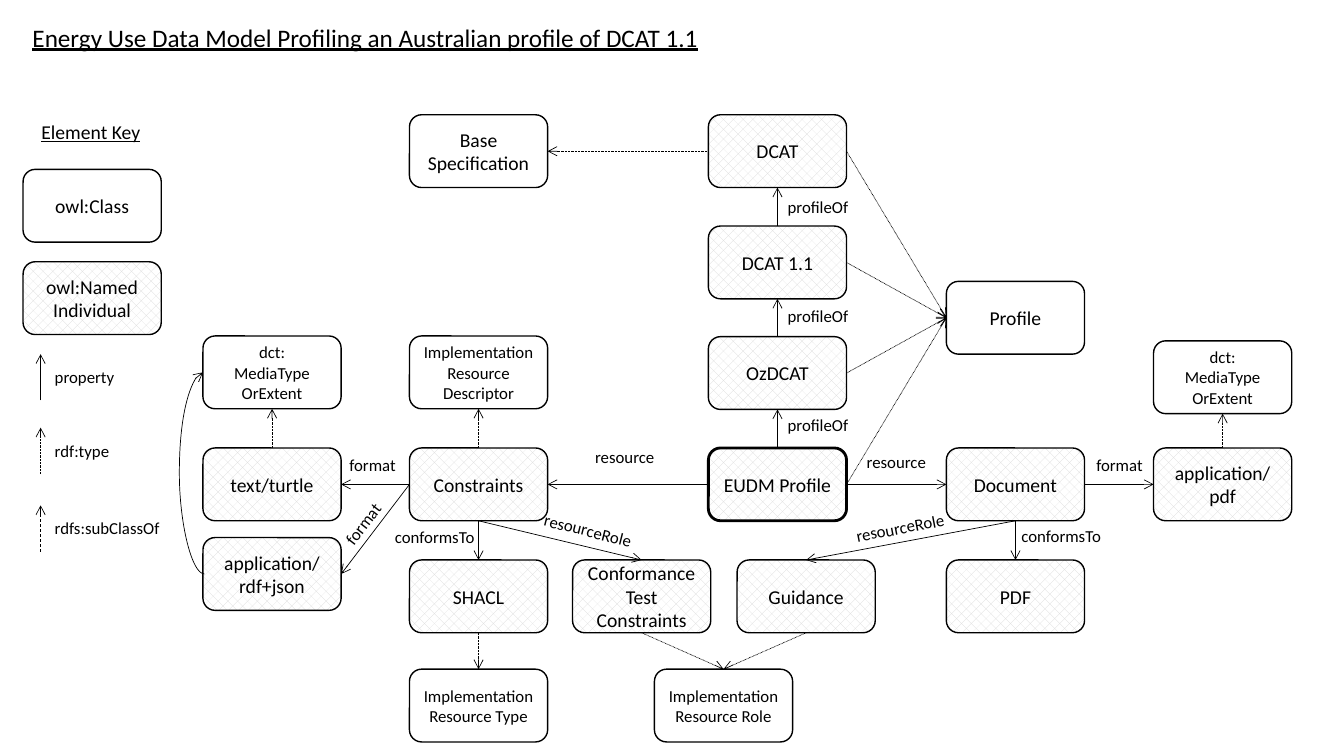
from lxml import etree
from pptx import Presentation
from pptx.dml.color import RGBColor
from pptx.enum.dml import MSO_LINE, MSO_PATTERN
from pptx.enum.shapes import MSO_CONNECTOR, MSO_SHAPE
from pptx.enum.text import MSO_ANCHOR, MSO_AUTO_SIZE, PP_ALIGN
from pptx.oxml.ns import qn
from pptx.util import Pt

ROUND_RECT = MSO_SHAPE.ROUNDED_RECTANGLE
STRAIGHT, CURVE = MSO_CONNECTOR.STRAIGHT, MSO_CONNECTOR.CURVE
SOLID, DOT, DASH = None, MSO_LINE.ROUND_DOT, MSO_LINE.DASH
TOP, LEFT, BOTTOM, RIGHT = range(4)  # connection sites of a box
COLORS = {"ink": "000000", "hatch": "D9D9D9", "paper": "FFFFFF"}
RGB = {name: RGBColor.from_string(value) for name, value in COLORS.items()}
BOX_W, BOX_H = 98.7, 52

prs = Presentation()
prs.slide_width, prs.slide_height = Pt(960), Pt(540)
s = prs.slides.add_slide(prs.slide_layouts[5])


def set_text(sp, text, size, align=PP_ALIGN.LEFT, underline=None):
    tf = sp.text_frame
    tf.text = text
    p = tf.paragraphs[0]
    p.alignment = align
    p.font.name, p.font.size = "Calibri", Pt(size)
    p.font.color.rgb = RGB["ink"]
    p.font.underline = underline


def add_arrow(kind, x1, y1, x2, y2, dash=SOLID):
    c = s.shapes.add_connector(kind, Pt(x1), Pt(y1), Pt(x2), Pt(y2))
    c.line.color.rgb = RGB["ink"]
    c.line.width = Pt(0.5)
    if dash is not None:
        c.line.dash_style = dash
    etree.SubElement(c.line._get_or_add_ln(), qn("a:tailEnd"), type="arrow")
    etree.SubElement(c._element.spPr, qn("a:effectLst"))
    return c


# Title
title = s.shapes.title
title.left, title.top, title.width, title.height = Pt(16), Pt(12), Pt(495), Pt(29)
set_text(title, "Energy Use Data Model Profiling an Australian profile of DCAT 1.1",
         18, underline=True)
tf = title.text_frame
tf.word_wrap = False
tf.auto_size = MSO_AUTO_SIZE.NONE
tf.vertical_anchor = MSO_ANCHOR.TOP

# Boxes: name, text, left, top, text size, hatched (named individual) or plain (class)
boxes = {}
for name, text, x, y, size, hatched in [
    ("key class", "owl:Class", 16.5, 121, 14, False),
    ("key individual", "owl:Named\vIndividual", 16.5, 187, 14, True),
    ("base", "Base Specification", 292.5, 82, 14, False),
    ("dcat", "DCAT", 506, 82, 14, True),
    ("dcat 1.1", "DCAT 1.1", 506, 161.5, 14, True),
    ("ozdcat", "OzDCAT", 506, 240.5, 14, True),
    ("eudm", "EUDM Profile", 506, 320, 14, True),
    ("profile", "Profile", 676, 201, 14, False),
    ("media left", "dct:\vMediaType\vOrExtent", 145, 240, 12, False),
    ("descriptor", "Implementation Resource Descriptor", 292.5, 240, 12, False),
    ("media right", "dct:\vMediaType\vOrExtent", 824, 243.5, 12, False),
    ("turtle", "text/turtle", 145, 320, 14, True),
    ("constraints", "Constraints", 292.5, 320, 14, True),
    ("document", "Document", 676, 320, 14, True),
    ("app pdf", "application/ pdf", 824, 320, 14, True),
    ("rdf json", "application/ rdf+json", 145, 384, 14, True),
    ("shacl", "SHACL", 292.5, 400, 14, True),
    ("conformance", "Conformance Test Constraints", 409, 400, 14, True),
    ("guidance", "Guidance", 526.5, 400, 14, True),
    ("pdf", "PDF", 676, 400, 14, True),
    ("type", "Implementation Resource Type", 292.5, 478, 12, False),
    ("role", "Implementation Resource Role", 467.5, 478, 12, False),
]:
    sp = s.shapes.add_shape(ROUND_RECT, Pt(x), Pt(y), Pt(BOX_W), Pt(BOX_H))
    sp.shadow.inherit = False
    if hatched:
        sp.fill.patterned()
        sp.fill.pattern = MSO_PATTERN.PERCENT_30
        sp.fill.fore_color.rgb = RGB["hatch"]
        sp.fill.back_color.rgb = RGB["paper"]
    else:
        sp.fill.background()
    sp.line.color.rgb = RGB["ink"]
    sp.line.width = Pt(2 if name == "eudm" else 1)
    sp.text_frame.vertical_anchor = MSO_ANCHOR.MIDDLE
    set_text(sp, text, size, PP_ALIGN.CENTER)
    boxes[name] = sp

# Arrows between boxes, attached to their connection sites
for start, site1, end, site2, dash in [
    ("dcat", LEFT, "base", RIGHT, DOT),
    ("dcat 1.1", TOP, "dcat", BOTTOM, SOLID),
    ("ozdcat", TOP, "dcat 1.1", BOTTOM, SOLID),
    ("eudm", TOP, "ozdcat", BOTTOM, SOLID),
    ("dcat", RIGHT, "profile", LEFT, DOT),
    ("dcat 1.1", RIGHT, "profile", LEFT, DOT),
    ("ozdcat", RIGHT, "profile", LEFT, DOT),
    ("eudm", RIGHT, "profile", LEFT, DOT),
    ("eudm", LEFT, "constraints", RIGHT, SOLID),
    ("eudm", RIGHT, "document", LEFT, SOLID),
    ("constraints", LEFT, "turtle", RIGHT, SOLID),
    ("constraints", LEFT, "rdf json", RIGHT, SOLID),
    ("constraints", TOP, "descriptor", BOTTOM, DOT),
    ("constraints", BOTTOM, "shacl", TOP, SOLID),
    ("constraints", BOTTOM, "conformance", TOP, SOLID),
    ("turtle", TOP, "media left", BOTTOM, DOT),
    ("document", RIGHT, "app pdf", LEFT, SOLID),
    ("document", BOTTOM, "guidance", TOP, SOLID),
    ("document", BOTTOM, "pdf", TOP, SOLID),
    ("app pdf", TOP, "media right", BOTTOM, DOT),
    ("shacl", BOTTOM, "type", TOP, DOT),
    ("conformance", BOTTOM, "role", TOP, DOT),
    ("guidance", BOTTOM, "role", TOP, DOT),
]:
    c = add_arrow(STRAIGHT, 0, 0, 0, 0, dash)
    c.begin_connect(boxes[start], site1)
    c.end_connect(boxes[end], site2)

# Curved arrow from rdf+json to its media type; it bulges 18 times its 1 pt width
c = add_arrow(CURVE, 146, 410, 145, 266)
guides = c._element.spPr.find(qn("a:prstGeom")).get_or_add_avLst()
etree.SubElement(guides, qn("a:gd"), name="adj1", fmla="val 1800000")

# Key arrows
for y, dash in [(253, SOLID), (305.5, DOT), (361, DASH)]:
    add_arrow(STRAIGHT, 29, y + 33, 29, y, dash)

# Labels: text, left, top, width, rotation
for text, x, y, w, angle in [
    ("Element Key", 22.5, 82, 86, 0),
    ("property", 32, 258.5, 60, 0),
    ("rdf:type", 32, 311, 60, 0),
    ("rdfs:subClassOf", 32, 366.5, 92, 0),
    ("profileOf", 555.5, 137, 60, 0),
    ("profileOf", 555.5, 215, 60, 0),
    ("profileOf", 555.5, 292.5, 60, 0),
    ("resource", 418, 315.5, 60, 0),
    ("resource", 612, 319, 60, 0),
    ("format", 242.5, 321, 50, 0),
    ("format", 776, 321, 50, 0),
    ("format", 235.5, 363, 48, 307.6),
    ("conformsTo", 275, 373, 74, 0),
    ("conformsTo", 722.5, 372, 74, 0),
    ("resourceRole", 381, 368, 79, 14.1),
    ("resourceRole", 604, 366, 79, 349.1),
]:
    heading = text == "Element Key"
    sp = s.shapes.add_textbox(Pt(x), Pt(y), Pt(w), Pt(24 if heading else 22))
    sp.rotation = angle
    sp.text_frame.word_wrap = False
    set_text(sp, text, 14 if heading else 12, underline=heading or None)

prs.save("out.pptx")
